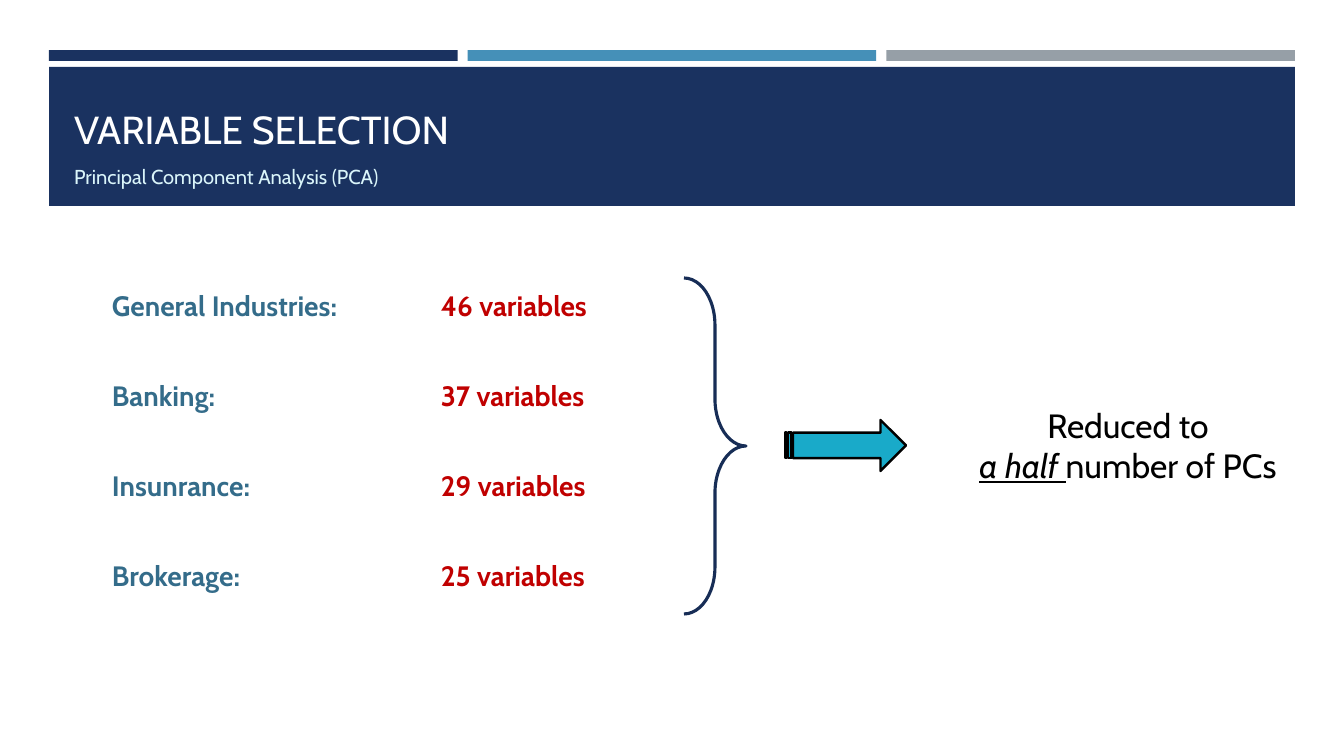
from dataclasses import dataclass

from pptx import Presentation
from pptx.dml.color import RGBColor
from pptx.enum.shapes import MSO_SHAPE as Preset
from pptx.enum.text import MSO_ANCHOR as Anchor, MSO_AUTO_SIZE as AutoSize, PP_ALIGN as Align
from pptx.util import Pt

TITLE = "VARIABLE SELECTION"
SUBTITLE = "Principal Component Analysis (PCA)"
VARIABLE_COUNTS = [
    ("General Industries:", "46 variables"),
    ("Banking:", "37 variables"),
    ("Insunrance:", "29 variables"),
    ("Brokerage:", "25 variables"),
]
RESULT_LINES = ("Reduced to", "a half ", "number of PCs")


@dataclass(frozen=True)
class Theme:
    font: str = "Cabin"
    navy: str = "1A3260"
    blue: str = "4590B8"
    gray: str = "969FA7"
    label: str = "346C8A"
    count: str = "C00000"
    brace: str = "172D56"
    arrow: str = "19AAC9"
    black: str = "000000"
    white: str = "FFFFFF"
    pale: str = "DAF5FA"
    title_size: float = 27.9
    subtitle_size: float = 14.4
    row_size: float = 20
    result_size: float = 24


THEME = Theme()
EMU_PER_PX = 914400 / 100.8
SLIDE_SIZE = (1344, 756)
BAND_LEFT, BAND_WIDTH, BAR_GAP = 49, 1246, 10
ROW_TOP, ROW_PITCH, ROW_HEIGHT = 284, 90, 44


def px(length):
    return round(length * EMU_PER_PX)


def place(shape, left, top, width, height):
    shape.left, shape.top = px(left), px(top)
    shape.width, shape.height = px(width), px(height)


def add_preset(slide, preset, box, fill=None, line=None, weight=1):
    shape = slide.shapes.add_shape(preset, *map(px, box))
    shape.shadow.inherit = False
    if fill:
        shape.fill.solid()
        shape.fill.fore_color.rgb = RGBColor.from_string(fill)
    else:
        shape.fill.background()
    if line:
        shape.line.color.rgb = RGBColor.from_string(line)
        shape.line.width = Pt(weight)
    else:
        shape.line.fill.background()
    return shape


def add_span(para, text, size, color, **styles):
    span = para.add_run()
    span.text = text
    span.font.name = THEME.font
    span.font.size = Pt(size)
    span.font.color.rgb = RGBColor.from_string(color)
    for name, value in styles.items():
        setattr(span.font, name, value)


def add_text_box(slide, box, wrap=True, align=Align.LEFT):
    """Add an empty text box and return its first paragraph."""
    frame = slide.shapes.add_textbox(*map(px, box)).text_frame
    frame.word_wrap = wrap
    frame.auto_size = AutoSize.SHAPE_TO_FIT_TEXT
    para = frame.paragraphs[0]
    para.alignment = align
    return para


def add_header(slide):
    colors = (THEME.navy, THEME.blue, THEME.gray)
    bar_width = (BAND_WIDTH - BAR_GAP * (len(colors) - 1)) / len(colors)
    for index, color in enumerate(colors):
        left = BAND_LEFT + index * (bar_width + BAR_GAP)
        add_preset(slide, Preset.RECTANGLE, (left, 50, bar_width, 11), fill=color)
    add_preset(slide, Preset.RECTANGLE, (BAND_LEFT, 67, BAND_WIDTH, 139), fill=THEME.navy)

    title = slide.shapes.title
    place(title, 64, 74, 1216, 120)
    slide.shapes._spTree.append(title._element)
    frame = title.text_frame
    frame.auto_size = AutoSize.NONE
    frame.vertical_anchor = Anchor.BOTTOM
    para = frame.paragraphs[0]
    para.alignment = Align.LEFT
    para.line_spacing = 1.5
    add_span(para, TITLE, THEME.title_size, THEME.white)
    para.add_line_break()
    add_span(para, SUBTITLE, THEME.subtitle_size, THEME.pale)


def add_variable_counts(slide):
    for index, (industry, count) in enumerate(VARIABLE_COUNTS):
        top = ROW_TOP + index * ROW_PITCH
        label = add_text_box(slide, (102, top, 288, ROW_HEIGHT))
        add_span(label, industry, THEME.row_size, THEME.label, bold=True)
        value = add_text_box(slide, (431, top, 185, ROW_HEIGHT), wrap=False)
        add_span(value, count, THEME.row_size, THEME.count, bold=True)


def add_result(slide):
    brace = add_preset(slide, Preset.RIGHT_BRACE, (684, 278, 62, 336),
                       line=THEME.brace, weight=2.25)
    brace.adjustments[0] = 0.76
    add_preset(slide, Preset.STRIPED_RIGHT_ARROW, (785, 420, 121, 51),
               fill=THEME.arrow, line=THEME.black, weight=1.75)
    lead, emphasis, rest = RESULT_LINES
    para = add_text_box(slide, (945, 400, 366, 92), align=Align.CENTER)
    add_span(para, lead, THEME.result_size, THEME.black)
    para.add_line_break()
    add_span(para, emphasis, THEME.result_size, THEME.black, italic=True, underline=True)
    add_span(para, rest, THEME.result_size, THEME.black)


def main():
    deck = Presentation()
    deck.slide_width, deck.slide_height = map(px, SLIDE_SIZE)
    slide = deck.slides.add_slide(deck.slide_layouts.get_by_name("Title Only"))
    add_header(slide)
    add_variable_counts(slide)
    add_result(slide)
    deck.save("out.pptx")


if __name__ == "__main__":
    main()
